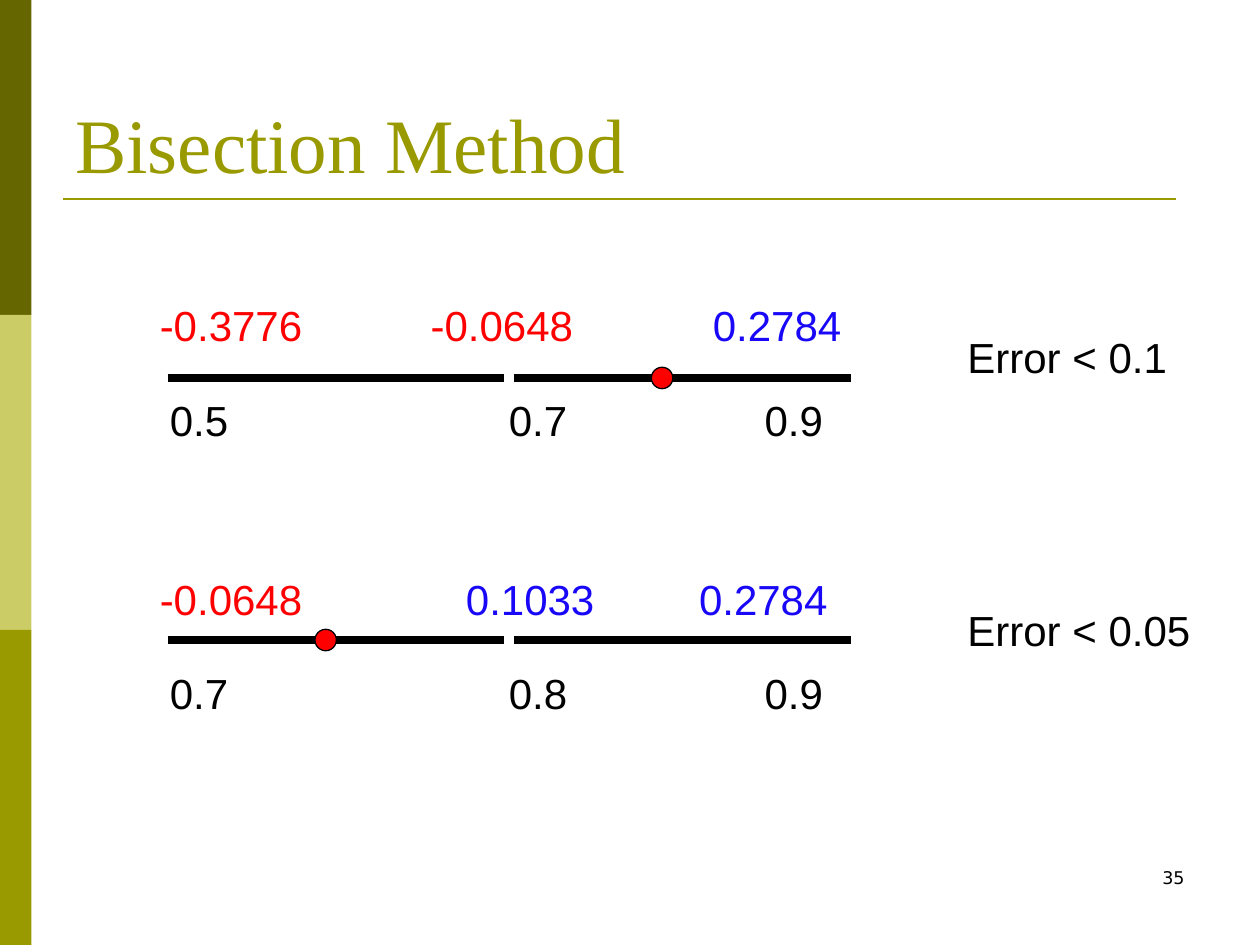
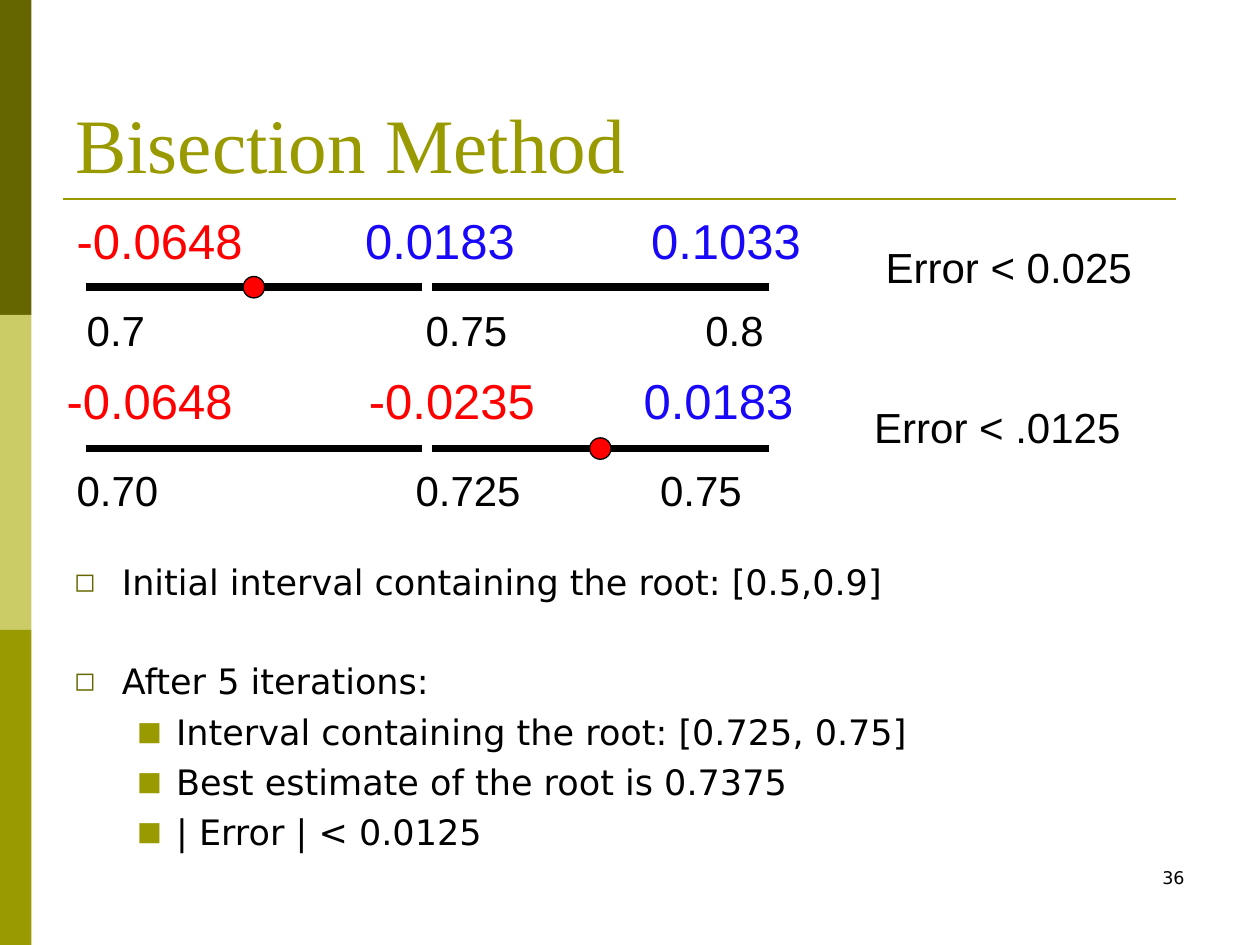
from lxml import etree
from pptx import Presentation
from pptx.dml.color import RGBColor
from pptx.enum.shapes import MSO_CONNECTOR as CONN, MSO_SHAPE as SHAPE
from pptx.enum.text import MSO_ANCHOR as ANCHOR, PP_ALIGN as ALIGN
from pptx.oxml.ns import qn
from pptx.util import Inches, Pt

COLORS = {
    "dark": "666600", "light": "CCCC66", "olive": "999900",
    "black": "000000", "negative": "FF0000", "positive": "1908F8",
}
SEGMENT, GAP, DOT = 2.67, 0.08, 0.17


def rgb(name):
    """Return the named colour."""
    return RGBColor.from_string(COLORS[name])


class Deck:
    """Holds the shared style and the current slide."""

    def __init__(self):
        """Start an empty presentation."""
        self.prs = Presentation()
        self.prs.slide_width, self.prs.slide_height = Inches(10), Inches(7.5)
        self.s = None

    def slide(self, title, number):
        """Add a slide with side bands, title, rule and page number."""
        self.s = self.prs.slides.add_slide(self.prs.slide_layouts[6])
        for i, color in enumerate(("dark", "light", "olive")):
            self.shape(SHAPE.RECTANGLE, 0, 2.5 * i, 0.25, 2.5, color)
        self.line(0.5, 9.33, 1.58, "olive", 1.5)
        self.text(title, 0.5, 0.3, 9, 1.25, 44, "olive", "Times New Roman",
                  anchor=ANCHOR.BOTTOM)
        self.text(str(number), 7.17, 6.83, 2.33, 0.5, 10, font="DejaVu Sans",
                  align=ALIGN.RIGHT)

    def shape(self, kind, x, y, w, h, fill, outline=None):
        """Add a filled preset shape."""
        sp = self.s.shapes.add_shape(kind, Inches(x), Inches(y), Inches(w), Inches(h))
        sp.shadow.inherit = False
        sp.fill.solid()
        sp.fill.fore_color.rgb = rgb(fill)
        if outline:
            sp.line.color.rgb = rgb(outline)
            sp.line.width = Pt(0.75)
        else:
            sp.line.fill.background()

    def line(self, x1, x2, y, color, width):
        """Add a horizontal line."""
        ln = self.s.shapes.add_connector(
            CONN.STRAIGHT, Inches(x1), Inches(y), Inches(x2), Inches(y))
        ln.line.color.rgb = rgb(color)
        ln.line.width = Pt(width)
        etree.SubElement(ln._element.spPr, qn("a:effectLst"))

    def frame(self, x, y, w, h):
        """Add a wrapping text box and return its text frame."""
        tf = self.s.shapes.add_textbox(
            Inches(x), Inches(y), Inches(w), Inches(h)).text_frame
        tf.word_wrap = True
        return tf

    def style(self, p, size, color, font):
        """Format the runs of a paragraph."""
        for r in p.runs:
            r.font.size, r.font.name = Pt(size), font
            r.font.color.rgb = rgb(color)

    def text(self, text, x, y, w, h, size, color="black", font="Arial",
             align=ALIGN.LEFT, anchor=ANCHOR.TOP):
        """Add one line of text."""
        tf = self.frame(x, y, w, h)
        tf.vertical_anchor = anchor
        tf.text = text
        p = tf.paragraphs[0]
        p.alignment = align
        self.style(p, size, color, font)

    def row(self, x, y, values, offsets, size=24, signed=False):
        """Add a row of numbers, coloured by sign when signed."""
        for value, offset in zip(values, offsets):
            color = "black"
            if signed:
                color = "negative" if value.startswith("-") else "positive"
            self.text(value, x + offset, y, 1.6, 0.5, size, color)

    def interval(self, x, y, dot_x):
        """Add the two halves of an interval and mark the one kept."""
        for start in (x, x + SEGMENT + GAP):
            self.line(start, start + SEGMENT, y, "black", 4.5)
        self.shape(SHAPE.OVAL, dot_x, y - DOT / 2, DOT, DOT, "negative", "black")

    def bullets(self, items, x, y, w, h):
        """Add a bulleted list of (level, space before, text) items."""
        looks = (("◻", "dark", 0.38, 0.38), ("■", "olive", 0.81, 0.31))
        tf = self.frame(x, y, w, h)
        for i, (level, space, text) in enumerate(items):
            p = tf.add_paragraph() if i else tf.paragraphs[0]
            p.text, p.level, p.space_before = text, level, Pt(space)
            self.style(p, 20, "black", "DejaVu Sans")
            char, color, left, hang = looks[level]
            pPr = p._p.get_or_add_pPr()
            pPr.set("marL", str(Inches(left)))
            pPr.set("indent", str(-Inches(hang)))
            clr = etree.SubElement(pPr, qn("a:buClr"))
            etree.SubElement(clr, qn("a:srgbClr"), val=COLORS[color])
            etree.SubElement(pPr, qn("a:buSzPct"), val="75000")
            etree.SubElement(pPr, qn("a:buFont"), typeface="DejaVu Sans")
            etree.SubElement(pPr, qn("a:buChar"), char=char)


def main():
    """Build the two slides."""
    deck = Deck()

    deck.slide("Bisection Method", 35)
    points = (0, 2.69, 4.72)
    deck.row(1.25, 3.08, ("0.5", "0.7", "0.9"), points)
    deck.row(1.17, 2.33, ("-0.3776", "-0.0648", "0.2784"), (0, 2.15, 4.39), signed=True)
    deck.text("Error < 0.1", 7.58, 2.58, 2, 0.5, 24)
    deck.interval(1.33, 3, 5.17)
    deck.row(1.25, 5.25, ("0.7", "0.8", "0.9"), points)
    deck.row(1.17, 4.5, ("-0.0648", "0.1033", "0.2784"), (0, 2.43, 4.28), signed=True)
    deck.text("Error < 0.05", 7.58, 4.75, 2.17, 0.5, 24)
    deck.interval(1.33, 5.08, 2.5)

    deck.slide("Bisection Method", 36)
    deck.row(0.59, 2.37, ("0.7", "0.75", "0.8"), (0, 2.69, 4.91))
    deck.row(0.51, 1.62, ("-0.0648", "0.0183", "0.1033"), (0, 2.29, 4.56), 28, True)
    deck.text("Error < 0.025", 6.93, 1.87, 2.42, 0.5, 24)
    deck.interval(0.68, 2.28, 1.93)
    deck.row(0.51, 3.64, ("0.70", "0.725", "0.75"), (0, 2.69, 4.63))
    deck.row(0.43, 2.89, ("-0.0648", "-0.0235", "0.0183"), (0, 2.4, 4.58), 28, True)
    deck.text("Error < .0125", 6.84, 3.14, 2.17, 0.5, 24)
    deck.interval(0.68, 3.56, 4.68)
    deck.bullets((
        (0, 4.7, "Initial interval containing the root: [0.5,0.9]"),
        (0, 32.7, "After 5 iterations:"),
        (1, 4.7, "Interval containing the root: [0.725, 0.75]"),
        (1, 4.7, "Best estimate of the root is 0.7375"),
        (1, 4.7, "| Error | < 0.0125"),
    ), 0.49, 4.4, 9, 2.63)

    deck.prs.save("out.pptx")


if __name__ == "__main__":
    main()
